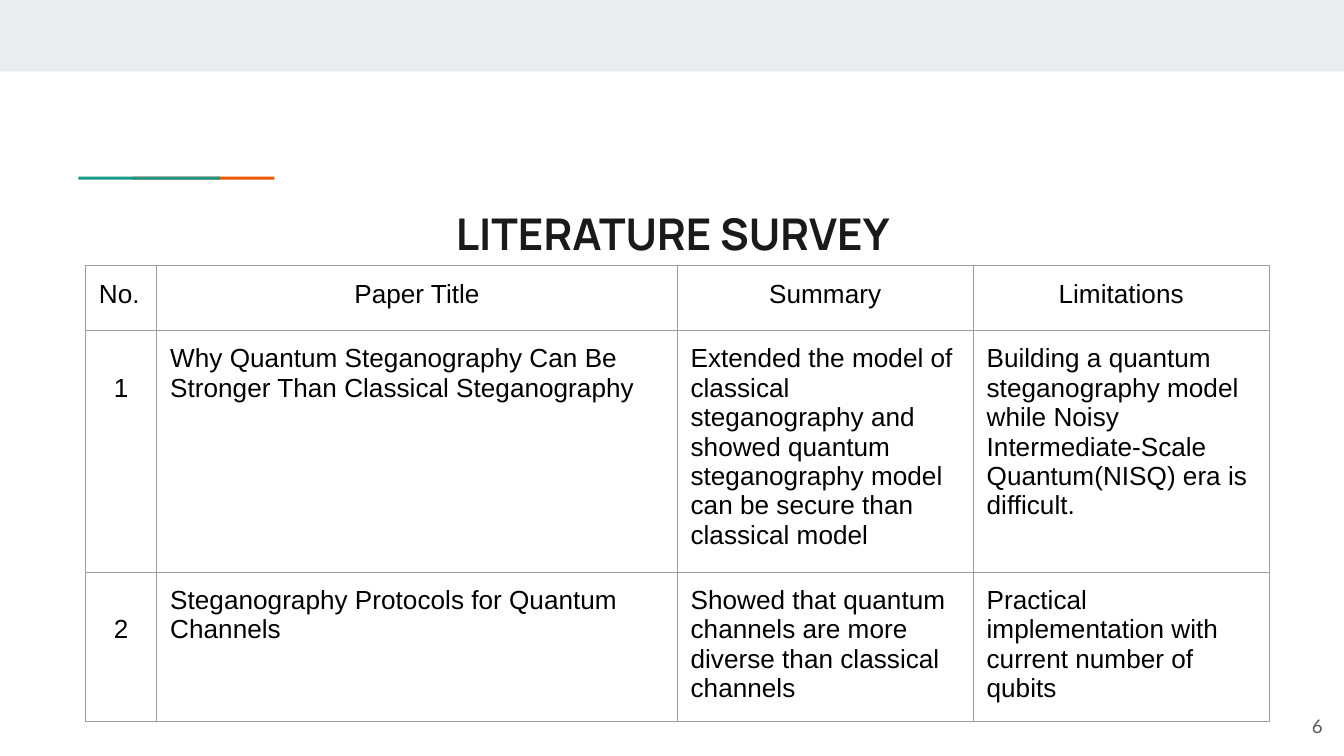
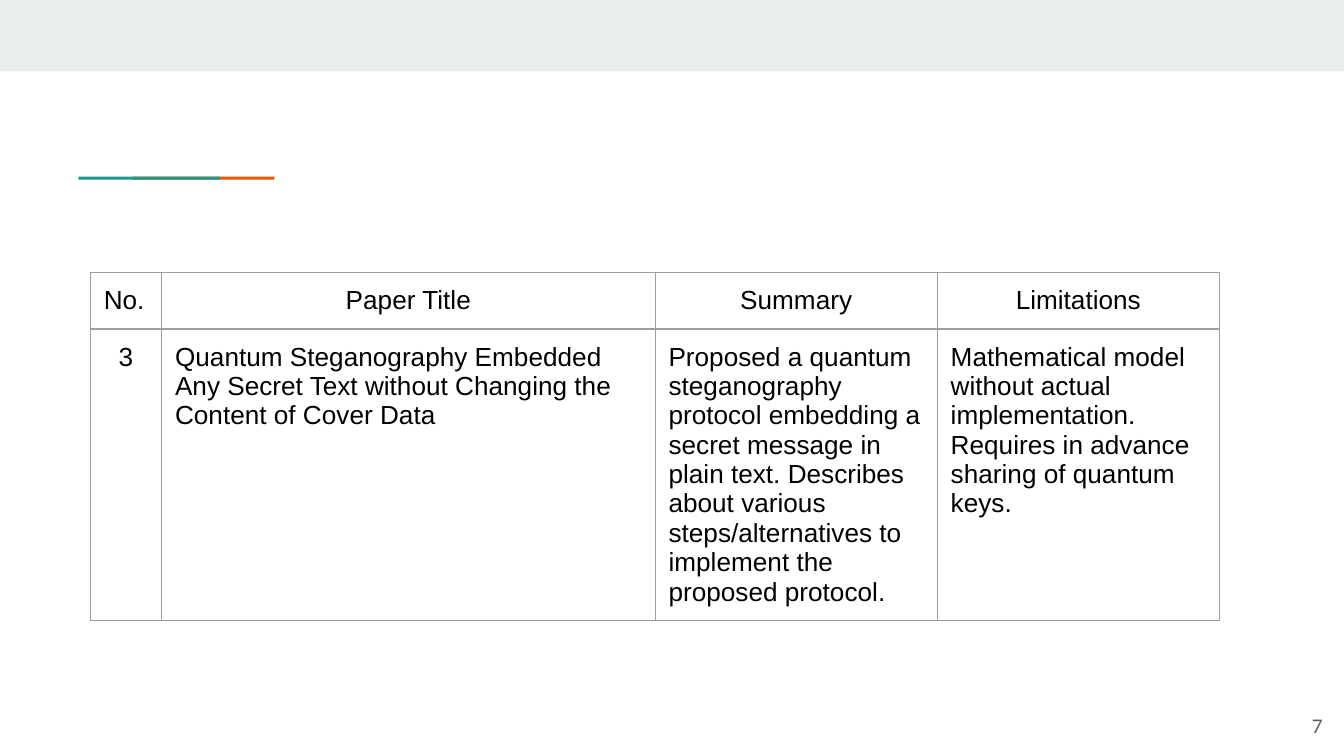
import dataclasses

import pptx
import pptx.dml.color
import pptx.enum.shapes
import pptx.enum.text
import pptx.oxml
import pptx.oxml.ns
import pptx.util

Pt = pptx.util.Pt
ALIGN = pptx.enum.text.PP_ALIGN
ANCHOR = pptx.enum.text.MSO_ANCHOR
TITLE_ONLY, BLANK = 5, 6


@dataclasses.dataclass(frozen=True)
class Theme:
    band: str = "E9EDEE"
    orange: str = "EB5600"
    teal: str = "1A9988"
    heading: str = "1A1A1A"
    body: str = "000000"
    page: str = "595959"
    grid: str = "9E9E9E"
    heading_font: str = "Manrope"
    body_font: str = "Arial"
    page_font: str = "Lato"
    heading_size: float = 23.4
    body_size: float = 14
    page_size: float = 10
    grid_width: float = 0.75
    inset: float = 7.2


class Deck:
    def __init__(self, theme):
        self.theme = theme
        self.prs = pptx.Presentation()
        self.prs.slide_width, self.prs.slide_height = Pt(720), Pt(405)
        self.slide = None

    def new_slide(self, number, title=None):
        """Start a slide with the shared band, accent rule and page number."""
        t = self.theme
        layout = self.prs.slide_layouts[TITLE_ONLY if title else BLANK]
        self.slide = self.prs.slides.add_slide(layout)
        self.bar(0, 0, 720, 38.3, t.band)
        # Accent rule: the teal bar overlaps the orange one
        for centre, color in ((109, t.orange), (80, t.teal)):
            self.bar(centre - 38, 94.6, 76, 1.7, color)
        if title:
            self.title(title)
        self.page_number(number)

    def bar(self, left, top, width, height, color):
        rect = self.slide.shapes.add_shape(
            pptx.enum.shapes.MSO_SHAPE.RECTANGLE, Pt(left), Pt(top), Pt(width), Pt(height))
        rect.shadow.inherit = False
        rect.fill.solid()
        rect.fill.fore_color.rgb = pptx.dml.color.RGBColor.from_string(color)
        rect.line.fill.background()

    def set_margins(self, holder):
        inset = Pt(self.theme.inset)
        holder.margin_left = holder.margin_right = inset
        holder.margin_top = holder.margin_bottom = inset

    def add_text(self, frame, text, align, font, size, color, bold=False):
        """Fill a text frame, one paragraph per line of text."""
        for i, line in enumerate(text.split("\n")):
            paragraph = frame.add_paragraph() if i else frame.paragraphs[0]
            paragraph.alignment = align
            run = paragraph.add_run()
            run.text = line
            run.font.name, run.font.size, run.font.bold = font, Pt(size), bold
            run.font.color.rgb = pptx.dml.color.RGBColor.from_string(color)

    def text_area(self, shape, anchor):
        frame = shape.text_frame
        frame.word_wrap = True
        frame.auto_size = pptx.enum.text.MSO_AUTO_SIZE.NONE
        frame.vertical_anchor = anchor
        self.set_margins(frame)
        return frame

    def title(self, text):
        t = self.theme
        heading = self.slide.shapes.title
        heading.left, heading.top = Pt(57.6), Pt(103.7)
        heading.width, heading.height = Pt(605.5), Pt(42.5)
        self.add_text(self.text_area(heading, ANCHOR.TOP), text, ALIGN.CENTER,
                      t.heading_font, t.heading_size, t.heading, bold=True)

    def page_number(self, number):
        t = self.theme
        page = self.slide.shapes.add_textbox(Pt(672.5), Pt(373.7), Pt(43.2), Pt(31))
        self.add_text(self.text_area(page, ANCHOR.MIDDLE), str(number), ALIGN.RIGHT,
                      t.page_font, t.page_size, t.page)

    def cell_borders(self, cell):
        t = self.theme
        props = cell._tc.get_or_add_tcPr()
        for i, side in enumerate(("lnL", "lnR", "lnT", "lnB")):
            props.insert(i, pptx.oxml.parse_xml(
                f'<a:{side} {pptx.oxml.ns.nsdecls("a")} w="{Pt(t.grid_width)}">'
                f'<a:solidFill><a:srgbClr val="{t.grid}"/></a:solidFill></a:{side}>'))

    def survey_table(self, left, top, widths, heights, papers, number_drop=0):
        """Draw the survey; number_drop lowers the numbers in the first column."""
        t = self.theme
        rows = [("No.", "Paper Title", "Summary", "Limitations")] + papers
        survey = self.slide.shapes.add_table(
            len(rows), len(widths), Pt(left), Pt(top), Pt(sum(widths)), Pt(sum(heights))).table
        survey.first_row = survey.horz_banding = False
        for column, width in zip(survey.columns, widths):
            column.width = Pt(width)
        for r, (row, height) in enumerate(zip(rows, heights)):
            survey.rows[r].height = Pt(height)
            for c, text in enumerate(row):
                cell = survey.cell(r, c)
                cell.fill.background()
                self.cell_borders(cell)
                self.set_margins(cell)
                if r and c == 0:
                    cell.margin_top = Pt(t.inset + number_drop)
                # Headings are centred, and so are the numbers below "No."
                centred = (r == 0) != (c == 0)
                self.add_text(cell.text_frame, text, ALIGN.CENTER if centred else ALIGN.LEFT,
                              t.body_font, t.body_size, t.body)


def main():
    deck = Deck(Theme())

    # Papers 1 and 2
    deck.new_slide(6, "LITERATURE SURVEY")
    deck.survey_table(45.8, 142.4, (38.2, 278.8, 158.6, 158.6), (34.8, 129.4, 79.8), [
        ("1", "Why Quantum Steganography Can Be Stronger Than Classical Steganography",
         "Extended the model of classical steganography and showed quantum "
         "steganography model can be secure than classical model",
         "Building a quantum steganography model while Noisy Intermediate-Scale "
         "Quantum(NISQ) era is difficult."),
        ("2", "Steganography Protocols for Quantum Channels",
         "Showed that quantum channels are more diverse than classical channels",
         "Practical implementation with current number of qubits"),
    ], number_drop=15.7)

    # Paper 3
    deck.new_slide(7)
    deck.survey_table(48.4, 146, (38.2, 264.4, 151.2, 151.2), (30.2, 155.8), [
        ("3", "Quantum Steganography Embedded Any Secret Text without Changing the "
         "Content of Cover Data",
         "Proposed a quantum steganography protocol embedding a secret message in "
         "plain text. Describes about various steps/alternatives to implement the "
         "proposed protocol.",
         "Mathematical model without actual implementation.\n"
         "Requires in advance sharing of quantum keys."),
    ])

    deck.prs.save("out.pptx")


if __name__ == "__main__":
    main()
